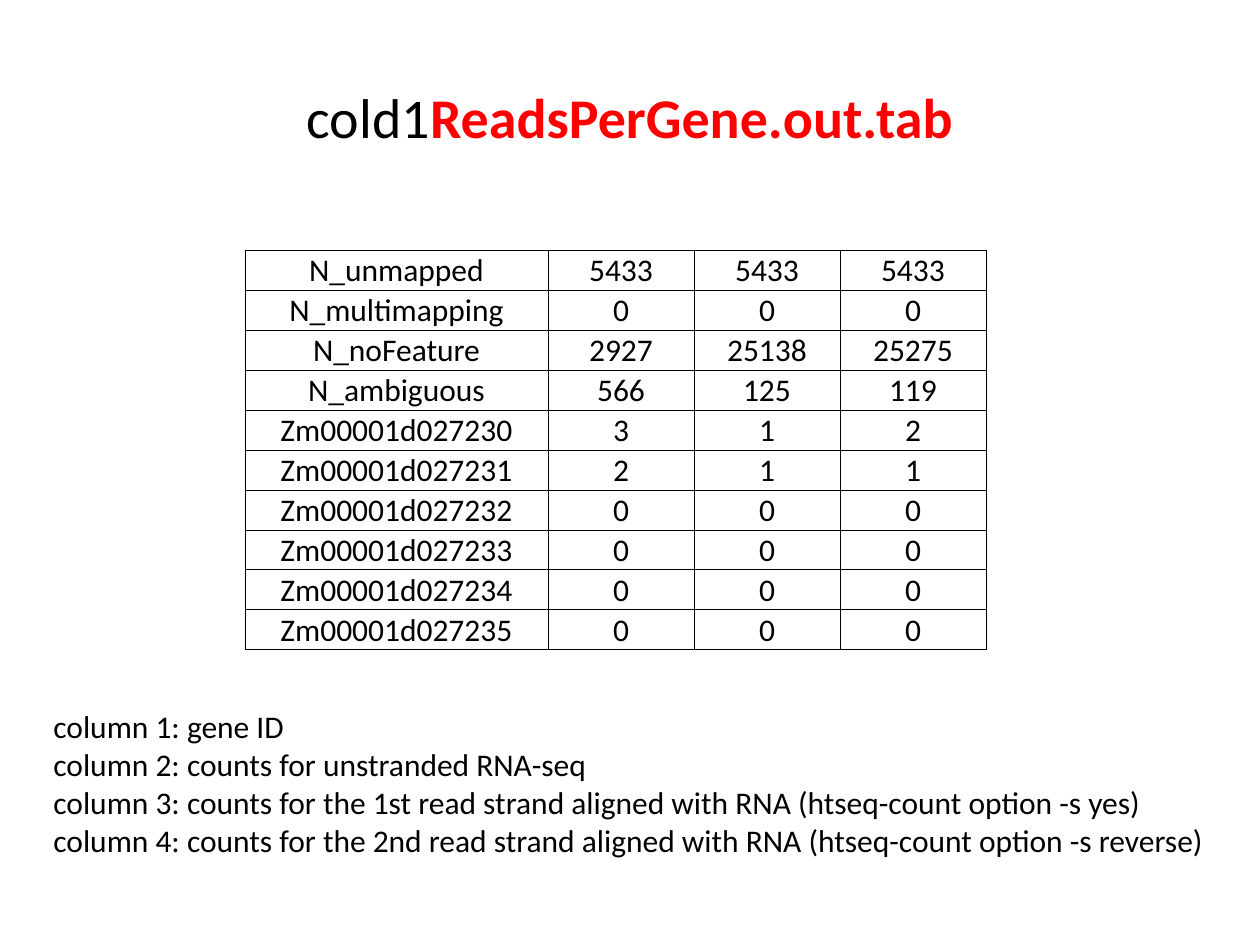
from lxml.etree import SubElement
from pptx import Presentation
from pptx.dml.color import RGBColor
from pptx.enum.text import MSO_ANCHOR as Anchor, MSO_AUTO_SIZE as AutoSize, PP_ALIGN as Align
from pptx.oxml.ns import qn
from pptx.util import Emu, Pt

BLACK = "000000"
RED = "FF0000"


def px(length):
    return Emu(round(length * 914400 / 126))


def color(value):
    return RGBColor.from_string(value)


class Slide:
    font = "Calibri"
    body_size = 18
    title_size = 32
    border_width = 0.5

    def __init__(self, deck):
        self.page = deck.slides.add_slide(deck.slide_layouts[6])

    def span(self, para, text, size, tint=BLACK, bold=False):
        run = para.add_run()
        run.text = text
        run.font.name = self.font
        run.font.size = Pt(size)
        run.font.bold = bold
        run.font.color.rgb = color(tint)

    def box(self, left, top, width, height):
        shape = self.page.shapes.add_textbox(px(left), px(top), px(width), px(height))
        return shape.text_frame

    def title(self, left, top, width, height, parts):
        frame = self.box(left, top, width, height)
        frame.word_wrap = True
        frame.vertical_anchor = Anchor.MIDDLE
        para = frame.paragraphs[0]
        para.alignment = Align.CENTER
        for text, tint, bold in parts:
            self.span(para, text, self.title_size, tint, bold)

    def notes(self, left, top, width, height, lines):
        frame = self.box(left, top, width, height)
        frame.word_wrap = False
        frame.auto_size = AutoSize.SHAPE_TO_FIT_TEXT
        for index, line in enumerate(lines):
            para = frame.add_paragraph() if index else frame.paragraphs[0]
            self.span(para, line, self.body_size)

    def borders(self, cell):
        properties = cell._tc.get_or_add_tcPr()
        for side in ("a:lnL", "a:lnR", "a:lnT", "a:lnB"):
            line = SubElement(properties, qn(side), w=str(Pt(self.border_width)))
            fill = SubElement(line, qn("a:solidFill"))
            SubElement(fill, qn("a:srgbClr"), val=BLACK)

    def table(self, left, top, widths, row_height, rows):
        frame = self.page.shapes.add_table(
            len(rows), len(widths), px(left), px(top),
            px(sum(widths)), px(row_height * len(rows)))
        grid = frame.table
        grid.first_row = grid.horz_banding = False
        for column, width in zip(grid.columns, widths):
            column.width = px(width)
        for r, row in enumerate(rows):
            grid.rows[r].height = px(row_height)
            for c, value in enumerate(row):
                self.cell(grid.cell(r, c), str(value))

    def cell(self, cell, text):
        self.borders(cell)
        cell.fill.background()
        cell.margin_left = cell.margin_right = cell.margin_top = px(1)
        cell.margin_bottom = 0
        cell.vertical_anchor = Anchor.BOTTOM
        para = cell.text_frame.paragraphs[0]
        para.alignment = Align.CENTER
        self.span(para, text, self.body_size)


def main():
    deck = Presentation()
    deck.slide_width, deck.slide_height = px(1260), px(945)
    slide = Slide(deck)

    # File name as title
    slide.title(63, 38, 1134, 157, [
        ("cold1", BLACK, False),
        ("ReadsPerGene.out.tab", RED, True),
    ])

    # Read counts
    counts = [
        ("N_unmapped", 5433, 5433, 5433),
        ("N_multimapping", 0, 0, 0),
        ("N_noFeature", 2927, 25138, 25275),
        ("N_ambiguous", 566, 125, 119),
        ("Zm00001d027230", 3, 1, 2),
        ("Zm00001d027231", 2, 1, 1),
    ]
    counts += [(f"Zm00001d02723{gene}", 0, 0, 0) for gene in range(2, 6)]
    slide.table(245, 250, [303, 146, 146, 146], 40, counts)

    # Meaning of the columns
    slide.notes(41, 701, 1192, 165, [
        "column 1: gene ID",
        "column 2: counts for unstranded RNA-seq",
        "column 3: counts for the 1st read strand aligned with RNA (htseq-count option -s yes)",
        "column 4: counts for the 2nd read strand aligned with RNA (htseq-count option -s reverse)",
    ])

    deck.save("out.pptx")


if __name__ == "__main__":
    main()
